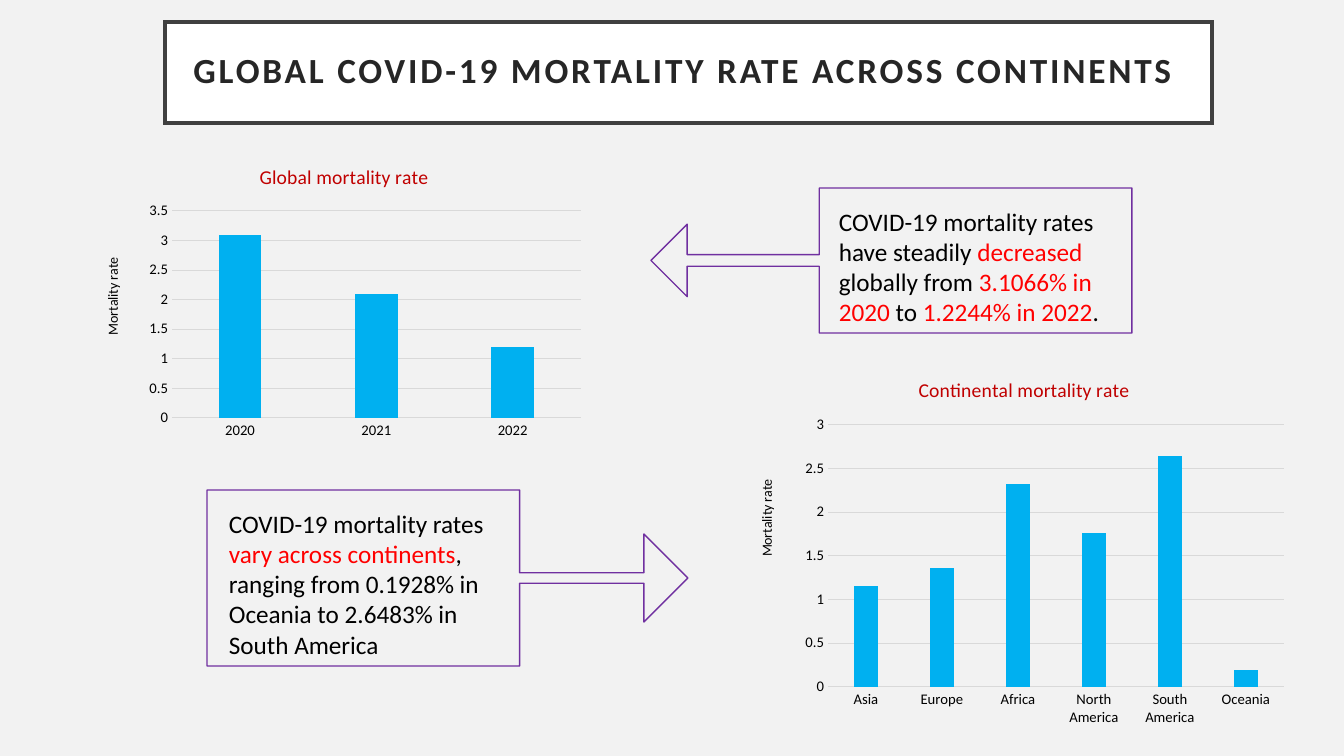
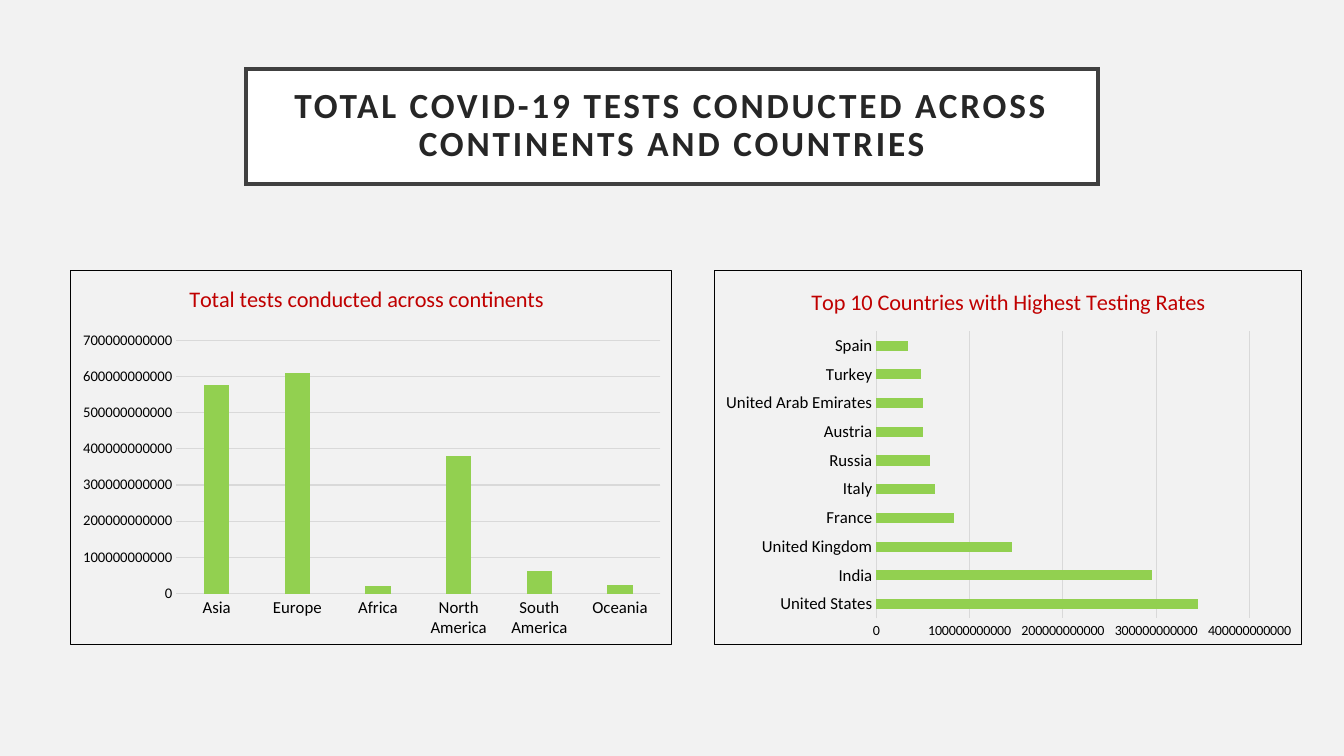
from lxml import etree
from pptx import Presentation
from pptx.chart.data import CategoryChartData
from pptx.dml.color import RGBColor
from pptx.enum.chart import XL_CHART_TYPE, XL_TICK_MARK
from pptx.enum.shapes import MSO_SHAPE
from pptx.enum.text import MSO_ANCHOR, MSO_AUTO_SIZE, PP_ALIGN
from pptx.oxml.ns import qn
from pptx.util import Emu, Pt

COLUMN, BAR = XL_CHART_TYPE.COLUMN_CLUSTERED, XL_CHART_TYPE.BAR_CLUSTERED
LEFT_CALLOUT = MSO_SHAPE.LEFT_ARROW_CALLOUT
RIGHT_CALLOUT = MSO_SHAPE.RIGHT_ARROW_CALLOUT
NO_TICK = XL_TICK_MARK.NONE
MIDDLE, CENTER = MSO_ANCHOR.MIDDLE, PP_ALIGN.CENTER
NO_AUTO_SIZE = MSO_AUTO_SIZE.NONE

FONT = "Calibri"
BACKGROUND = RGBColor(0xF2, 0xF2, 0xF2)
WHITE = RGBColor(0xFF, 0xFF, 0xFF)
BLACK = RGBColor(0, 0, 0)
TITLE_TEXT = RGBColor(0x26, 0x26, 0x26)
TITLE_BORDER = RGBColor(0x40, 0x40, 0x40)
CHART_TITLE = RGBColor(0xC0, 0, 0)
GRID = RGBColor(0xD9, 0xD9, 0xD9)
HIGHLIGHT = RGBColor(0xFF, 0, 0)
CALLOUT_LINE = RGBColor(0x70, 0x30, 0xA0)
BLUE = RGBColor(0, 0xB0, 0xF0)
GREEN = RGBColor(0x92, 0xD0, 0x50)

PX = 914400 / 100.8
SLIDE_SIZE = (1344, 756)
BILLION = 10 ** 9
CONTINENTS = ["Asia", "Europe", "Africa", "North America", "South America", "Oceania"]

# Boxes are (left, top, width, height) in px; title points are (left, top).
MORTALITY_STYLE = {
    "type": COLUMN, "color": BLUE, "gap": 219, "title_size": 14,
    "category_size": 10.5, "value_size": 10.5, "format": "General",
    "unit": 0.5, "axis_title": "Mortality rate", "border": False,
}
TESTS_STYLE = {
    "type": COLUMN, "color": GREEN, "gap": 219, "title_size": 16,
    "category_size": 12, "value_size": 10.5, "format": "0",
    "unit": 100 * BILLION, "axis_title": None, "border": True,
}

SLIDES = [
    {
        "title": "GLOBAL COVID-19 MORTALITY RATE ACROSS CONTINENTS ",
        "title_box": (165, 22, 1047, 101),
        "charts": [
            MORTALITY_STYLE | {
                "title": "Global mortality rate", "title_at": (256, 160),
                "box": (97, 149, 494, 296), "plot": (172, 211, 409, 207),
                "axis_title_at": (101, 255), "maximum": 3.5,
                "categories": ["2020", "2021", "2022"],
                "values": [3.1, 2.1, 1.2],
            },
            MORTALITY_STYLE | {
                "title": "Continental mortality rate", "title_at": (915, 373),
                "box": (753, 360, 542, 374), "plot": (828, 425, 456, 262),
                "axis_title_at": (755, 477), "maximum": 3,
                "categories": CONTINENTS,
                "values": [1.16, 1.36, 2.32, 1.76, 2.65, 0.19],
            },
        ],
        "callouts": [
            {
                "shape": LEFT_CALLOUT, "box": (651, 188, 481, 145),
                "adjustments": (0.08, 0.25, 0.25, 0.65),
                "text_box": (829, 201, 327, 132),
                "runs": [
                    ("COVID-19 mortality rates have steadily ", BLACK),
                    ("decreased", HIGHLIGHT),
                    (" globally from ", BLACK),
                    ("3.1066% in 2020 ", HIGHLIGHT),
                    ("to ", BLACK),
                    ("1.2244% in 2022", HIGHLIGHT),
                    (".", BLACK),
                ],
            },
            {
                "shape": RIGHT_CALLOUT, "box": (207, 490, 481, 176),
                "adjustments": (0.06, 0.25, 0.25, 0.65),
                "text_box": (219, 503, 310, 163),
                "runs": [
                    ("COVID-19 mortality rates ", BLACK),
                    ("vary across continents", HIGHLIGHT),
                    (", ranging from 0.1928% in Oceania to 2.6483% in South America", BLACK),
                ],
            },
        ],
    },
    {
        "title": "TOTAL COVID-19 TESTS CONDUCTED ACROSS CONTINENTS AND COUNTRIES",
        "title_box": (246, 69, 852, 115),
        "charts": [
            TESTS_STYLE | {
                "title": "Total tests conducted across continents",
                "title_at": (185, 279),
                "box": (70, 270, 602, 375), "plot": (176, 340, 485, 254),
                "maximum": 700 * BILLION,
                "categories": CONTINENTS,
                "values": [n * BILLION for n in (575, 610, 22, 380, 62, 24)],
            },
            TESTS_STYLE | {
                "type": BAR, "gap": 182, "value_size": 10,
                "title": "Top 10 Countries with Highest Testing Rates",
                "title_at": (807, 282),
                "box": (714, 270, 588, 375), "plot": (876, 331, 374, 288),
                "maximum": 400 * BILLION,
                "categories": ["United States", "India", "United Kingdom", "France",
                               "Italy", "Russia", "Austria", "United Arab Emirates",
                               "Turkey", "Spain"],
                "values": [n * BILLION for n in
                           (345, 295, 145, 83, 63, 58, 50, 50, 48, 34)],
            },
        ],
        "callouts": [],
    },
]


def emu(box):
    return [Emu(round(length * PX)) for length in box]


def style_font(font, size, color, bold=False):
    font.name, font.size, font.bold = FONT, Pt(size), bold
    font.color.rgb = color


def add_title(slide, text, box):
    title = slide.shapes.title
    title.left, title.top, title.width, title.height = emu(box)
    title.fill.solid()
    title.fill.fore_color.rgb = WHITE
    title.line.color.rgb = TITLE_BORDER
    title.line.width = Pt(2.5)
    line = title._element.spPr.find(qn("a:ln"))
    etree.SubElement(line, qn("a:miter"), lim="800000")
    frame = title.text_frame
    frame.text = text
    frame.word_wrap = True
    frame.auto_size = NO_AUTO_SIZE
    frame.vertical_anchor = MIDDLE
    frame.margin_left = frame.margin_right = emu([20])[0]
    frame.margin_top = frame.margin_bottom = emu([20])[0]
    paragraph = frame.paragraphs[0]
    paragraph.alignment = CENTER
    paragraph.line_spacing = 0.9
    run = paragraph.runs[0]
    style_font(run.font, 25.2, TITLE_TEXT, bold=True)
    run.font._element.set("spc", "200")


def set_layout(element, index, chart_box, box):
    """Place a chart part by hand; box is (left, top) or (left, top, width, height)."""
    for old_layout in element.findall(qn("c:layout")):
        element.remove(old_layout)
    layout = etree.Element(qn("c:layout"))
    element.insert(index, layout)
    manual = etree.SubElement(layout, qn("c:manualLayout"))
    left, top, width, height = chart_box
    fractions = [(box[0] - left) / width, (box[1] - top) / height]
    settings = [("xMode", "edge"), ("yMode", "edge")]
    if len(box) == 4:
        settings.insert(0, ("layoutTarget", "inner"))
        fractions += [box[2] / width, box[3] / height]
    settings += [(name, f"{value:.4f}") for name, value in zip("xywh", fractions)]
    for name, value in settings:
        etree.SubElement(manual, qn(f"c:{name}")).set("val", value)


def set_chart_frame(chart, border):
    """Make the chart see-through, with or without a thin black border."""
    properties = etree.Element(qn("c:spPr"))
    etree.SubElement(properties, qn("a:noFill"))
    line = etree.SubElement(properties, qn("a:ln"), w=str(Pt(0.75)))
    if border:
        fill = etree.SubElement(line, qn("a:solidFill"))
        etree.SubElement(fill, qn("a:srgbClr"), val=str(BLACK))
    else:
        etree.SubElement(line, qn("a:noFill"))
    chart._chartSpace.find(qn("c:chart")).addnext(properties)


def set_heading(heading, text, size, color, chart_box, position):
    heading.text_frame.text = text
    style_font(heading.text_frame.paragraphs[0].runs[0].font, size, color)
    set_layout(heading._element, 1, chart_box, position)


def add_chart(slide, details):
    data = CategoryChartData(number_format=details["format"])
    data.categories = details["categories"]
    data.add_series("Series 1", details["values"])
    box = details["box"]
    chart = slide.shapes.add_chart(details["type"], *emu(box), data).chart
    style_font(chart.font, 10, BLACK)
    chart.has_legend = False
    chart.has_title = True
    set_heading(chart.chart_title, details["title"], details["title_size"],
                CHART_TITLE, box, details["title_at"])
    chart.chart_title.include_in_layout = False

    plot = chart.plots[0]
    plot.vary_by_categories = False
    plot.gap_width = details["gap"]
    if details["type"] == COLUMN:
        plot.overlap = -27
    fill = plot.series[0].format.fill
    fill.solid()
    fill.fore_color.rgb = details["color"]

    category_axis, value_axis = chart.category_axis, chart.value_axis
    for axis, size in ((category_axis, details["category_size"]),
                       (value_axis, details["value_size"])):
        axis.major_tick_mark = axis.minor_tick_mark = NO_TICK
        style_font(axis.tick_labels.font, size, BLACK)
    category_axis.has_major_gridlines = False
    value_axis.has_major_gridlines = True
    for line in (category_axis.format.line, value_axis.major_gridlines.format.line):
        line.color.rgb = GRID
        line.width = Pt(0.75)
    value_axis.format.line.fill.background()
    value_axis.minimum_scale = 0
    value_axis.maximum_scale = details["maximum"]
    value_axis.major_unit = details["unit"]
    value_axis.tick_labels.number_format = details["format"]
    value_axis.tick_labels.number_format_is_linked = False
    if details["axis_title"]:
        heading = value_axis.axis_title
        set_heading(heading, details["axis_title"], 10, BLACK, box,
                    details["axis_title_at"])
        body = heading._element.find(".//" + qn("a:bodyPr"))
        body.set("rot", "-5400000")
        body.set("vert", "horz")

    plot_area = chart._chartSpace.find(".//" + qn("c:plotArea"))
    set_layout(plot_area, 0, box, details["plot"])
    set_chart_frame(chart, details["border"])


def add_callout(slide, callout):
    text_box = slide.shapes.add_textbox(*emu(callout["text_box"]))
    frame = text_box.text_frame
    frame.word_wrap = True
    for text, color in callout["runs"]:
        run = frame.paragraphs[0].add_run()
        run.text = text
        style_font(run.font, 18, color)

    shape = slide.shapes.add_shape(callout["shape"], *emu(callout["box"]))
    for index, value in enumerate(callout["adjustments"]):
        shape.adjustments[index] = value
    shape.shadow.inherit = False
    shape.fill.background()
    shape.line.color.rgb = CALLOUT_LINE
    shape.line.width = Pt(1)


def main():
    presentation = Presentation()
    presentation.slide_width, presentation.slide_height = emu(SLIDE_SIZE)
    background = presentation.slide_master.background.fill
    background.solid()
    background.fore_color.rgb = BACKGROUND
    title_only = presentation.slide_layouts[5]
    for content in SLIDES:
        slide = presentation.slides.add_slide(title_only)
        add_title(slide, content["title"], content["title_box"])
        for chart in content["charts"]:
            add_chart(slide, chart)
        for callout in content["callouts"]:
            add_callout(slide, callout)
    presentation.save("out.pptx")


if __name__ == "__main__":
    main()
